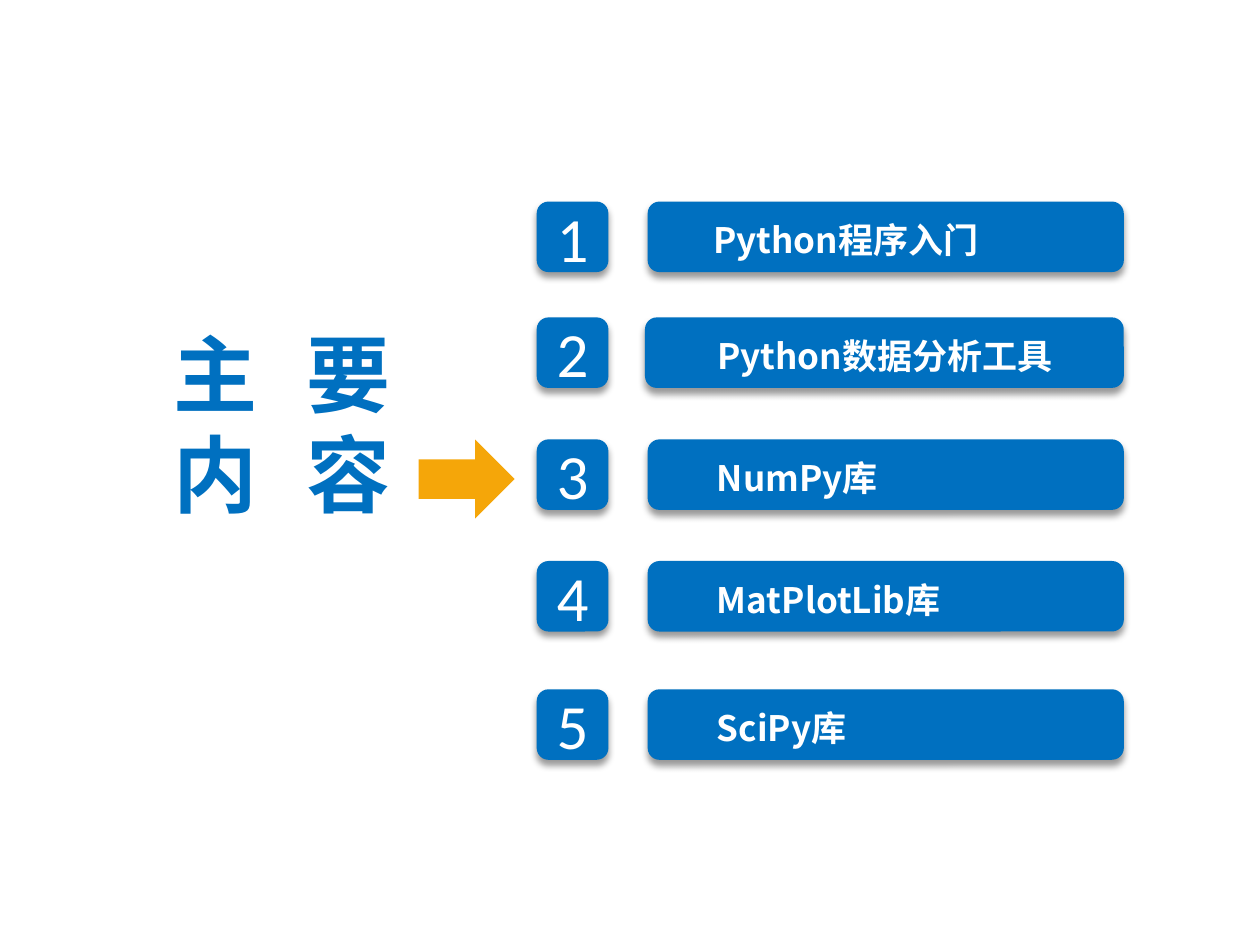
"""Build a contents slide with five numbered topics and an arrow at the third."""
from lxml import etree
from pptx import Presentation
from pptx.dml.color import RGBColor
from pptx.enum import shapes, text
from pptx.oxml import ns
from pptx.util import Pt

COLORS = {"blue": "0070C0", "orange": "F5A609", "white": "FFFFFF", "shadow": "000000"}
CJK = "Noto Sans CJK SC"
TITLE = ["主 要", "内 容"]
TOPICS = [
    {"label": "Python程序入门", "top": 115.2, "bar": 370.1, "left": 398.2, "width": 232.6},
    {"label": "Python数据分析工具", "top": 181.4, "bar": 368.6, "left": 400.3, "width": 267.8},
    {"label": "NumPy库", "top": 251.1, "bar": 370.1, "left": 400.3, "width": 241.9},
    {"label": "MatPlotLib库", "top": 320.6, "bar": 370.1, "left": 400.3, "width": 230.4},
    {"label": "SciPy库", "top": 393.9, "bar": 370.1, "left": 400.3, "width": 230.4},
]
NUMBER_LEFT, NUMBER_WIDTH, BAR_RIGHT, ROW_HEIGHT = 306.7, 41, 642.2, 40.3
LABEL_OFFSET, LABEL_HEIGHT = 3.3, 33.8
ARROW_TOPIC = 2


def color(name):
    return RGBColor.from_string(COLORS[name])


def add_child(parent, tag, **attributes):
    return etree.SubElement(parent, ns.qn(tag), attributes)


def add_block(parent, kind, left, top, width, height, fill):
    block = parent.add_shape(kind, Pt(left), Pt(top), Pt(width), Pt(height))
    block.fill.solid()
    block.fill.fore_color.rgb = color(fill)
    block.line.fill.background()
    block.shadow.inherit = False
    return block


def add_rounded(parent, left, top, width):
    kind = shapes.MSO_SHAPE.ROUNDED_RECTANGLE
    block = add_block(parent, kind, left, top, width, ROW_HEIGHT, "blue")
    effects = block._element.spPr.find(ns.qn("a:effectLst"))
    shadow = add_child(effects, "a:outerShdw", blurRad=str(Pt(4)), dist=str(Pt(3)),
                       dir="5400000", algn="t", rotWithShape="0")
    tint = add_child(shadow, "a:srgbClr", val=COLORS["shadow"])
    add_child(tint, "a:alpha", val="40000")
    return block


def write(shape, lines, font, size, fill, bold=False, align=None, leading=None, tracking=None):
    frame = shape.text_frame
    frame.word_wrap = True
    frame.margin_left = frame.margin_right = Pt(9.4)
    frame.margin_top = frame.margin_bottom = Pt(5)
    frame.text = "\n".join(lines)
    for para in frame.paragraphs:
        para.alignment = align
        if leading:
            para.line_spacing = Pt(leading)
        for span in para.runs:
            span.font.name, span.font.size, span.font.bold = font, Pt(size), bold
            span.font.color.rgb = color(fill)
            properties = span.font._element
            add_child(properties, "a:ea", typeface=font)
            if tracking:
                properties.set("spc", str(round(tracking * 100)))
    return frame


def add_topic(slide, number, topic):
    box = add_rounded(slide.shapes, NUMBER_LEFT, topic["top"], NUMBER_WIDTH)
    frame = write(box, [str(number)], "Calibri", 36, "white", align=text.PP_ALIGN.CENTER)
    frame.vertical_anchor = text.MSO_ANCHOR.MIDDLE
    group = slide.shapes.add_group_shape()
    add_rounded(group.shapes, topic["bar"], topic["top"], BAR_RIGHT - topic["bar"])
    label = group.shapes.add_textbox(Pt(topic["left"]), Pt(topic["top"] + LABEL_OFFSET),
                                     Pt(topic["width"]), Pt(LABEL_HEIGHT))
    write(label, [topic["label"]], CJK, 20, "white", bold=True, leading=25.5)


def main():
    deck = Presentation()
    deck.slide_width, deck.slide_height = Pt(720), Pt(540)
    slide = deck.slides.add_slide(deck.slide_layouts[6])
    for number, topic in enumerate(TOPICS, 1):
        add_topic(slide, number, topic)
    title = slide.shapes.add_textbox(Pt(26), Pt(175), Pt(270), Pt(126))
    frame = write(title, TITLE, CJK, 48, "blue", bold=True,
                  align=text.PP_ALIGN.CENTER, leading=57, tracking=8.6)
    frame.margin_top = Pt(10)
    arrow_width, arrow_height = 45.2, 54.9
    arrow_top = TOPICS[ARROW_TOPIC]["top"] + (ROW_HEIGHT - arrow_height) / 2 + 2.5
    arrow = add_block(slide.shapes, shapes.MSO_SHAPE.DOWN_ARROW, 244, arrow_top,
                      arrow_width, arrow_height, "orange")
    arrow.rotation = 270
    deck.save("out.pptx")


if __name__ == "__main__":
    main()
